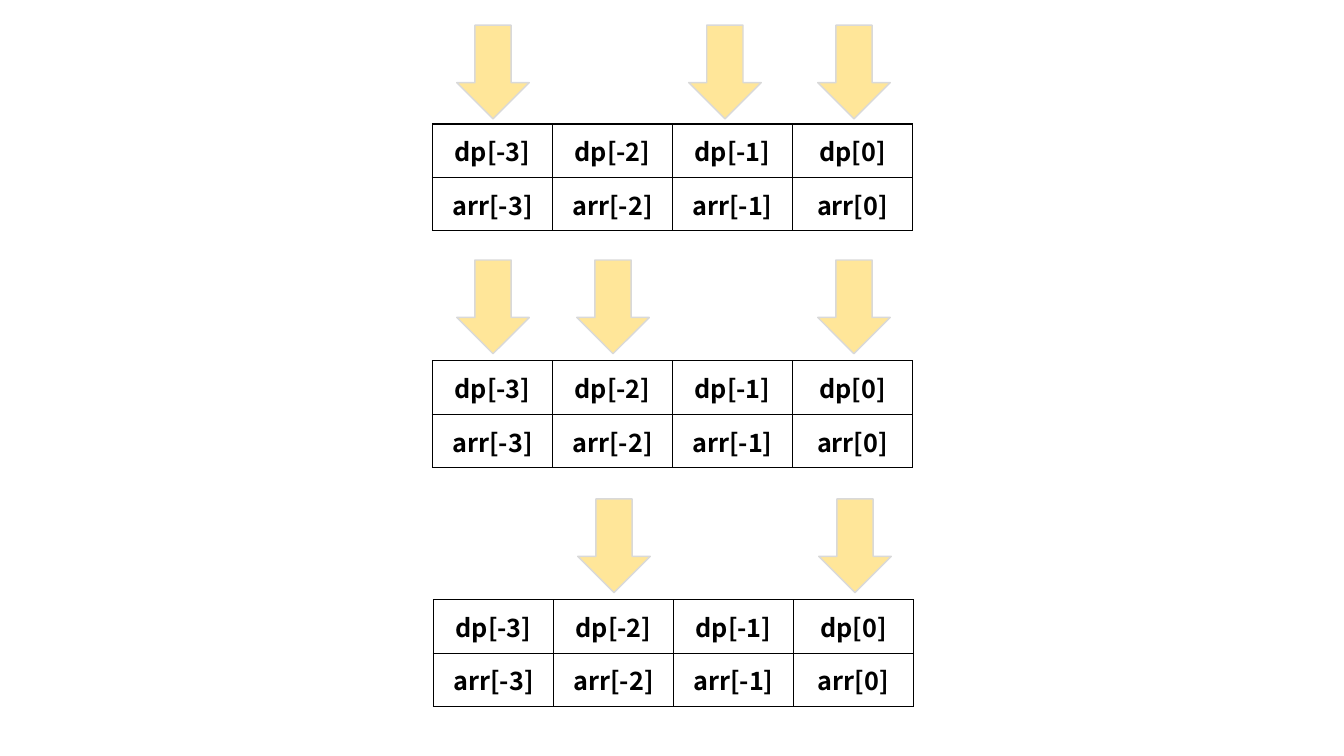
"""Build a slide of three dp/arr array pairs with arrows over the chosen columns."""
import pptx
import pptx.dml.color
import pptx.enum.shapes
import pptx.enum.text
import pptx.oxml
import pptx.oxml.ns
import pptx.util
from pptx.util import Inches

COLORS = {"arrow": "FFE699", "arrow_line": "D9D9D9", "cell": "FFFFFF", "ink": "000000"}
INDICES = [-3, -2, -1, 0]
ARROW_OFFSETS = {-3: 0.24, -2: 1.43, -1: 2.54, 0: 3.82}
COLUMN_WIDTH = 1.19
ROW_HEIGHT = 0.53
STAGES = [
    (4.29, 0.25, 1.23, [0, -1, -3]),
    (4.29, 2.58, 3.58, [0, -2, -3]),
    (4.3, 4.95, 5.95, [0, -2]),
]


def color(name):
    return pptx.dml.color.RGBColor.from_string(COLORS[name])


def add_borders(cell):
    properties = cell._tc.get_or_add_tcPr()
    for position, side in enumerate(["lnL", "lnR", "lnT", "lnB"]):
        border = pptx.oxml.parse_xml(
            f'<a:{side} {pptx.oxml.ns.nsdecls("a")} w="12700"><a:solidFill>'
            f'<a:srgbClr val="{COLORS["ink"]}"/></a:solidFill></a:{side}>'
        )
        properties.insert(position, border)


presentation = pptx.Presentation()
presentation.slide_width = Inches(13.33)
presentation.slide_height = Inches(7.5)
slide = presentation.slides.add_slide(presentation.slide_layouts[6])

for left, arrow_top, table_top, marked in STAGES:
    for index in marked:
        arrow = slide.shapes.add_shape(
            pptx.enum.shapes.MSO_SHAPE.DOWN_ARROW,
            Inches(left + ARROW_OFFSETS[index]), Inches(arrow_top),
            Inches(0.72), Inches(0.93),
        )
        arrow.shadow.inherit = False
        arrow.fill.solid()
        arrow.fill.fore_color.rgb = color("arrow")
        arrow.line.color.rgb = color("arrow_line")
        arrow.line.width = pptx.util.Pt(1)

    for row, array_name in enumerate(["dp", "arr"]):
        table = slide.shapes.add_table(
            1, len(INDICES), Inches(left), Inches(table_top + row * ROW_HEIGHT),
            Inches(COLUMN_WIDTH * len(INDICES)), Inches(ROW_HEIGHT),
        ).table
        table.first_row = False
        table.horz_banding = False
        for column, index in enumerate(INDICES):
            table.columns[column].width = Inches(COLUMN_WIDTH)
            cell = table.cell(0, column)
            cell.fill.solid()
            cell.fill.fore_color.rgb = color("cell")
            cell.vertical_anchor = pptx.enum.text.MSO_ANCHOR.MIDDLE
            add_borders(cell)
            cell.text = f"{array_name}[{index}]"
            paragraph = cell.text_frame.paragraphs[0]
            paragraph.alignment = pptx.enum.text.PP_ALIGN.CENTER
            paragraph.font.name = "Noto Sans CJK KR"
            paragraph.font.size = pptx.util.Pt(18)
            paragraph.font.bold = True
            paragraph.font.color.rgb = color("ink")

presentation.save("out.pptx")
